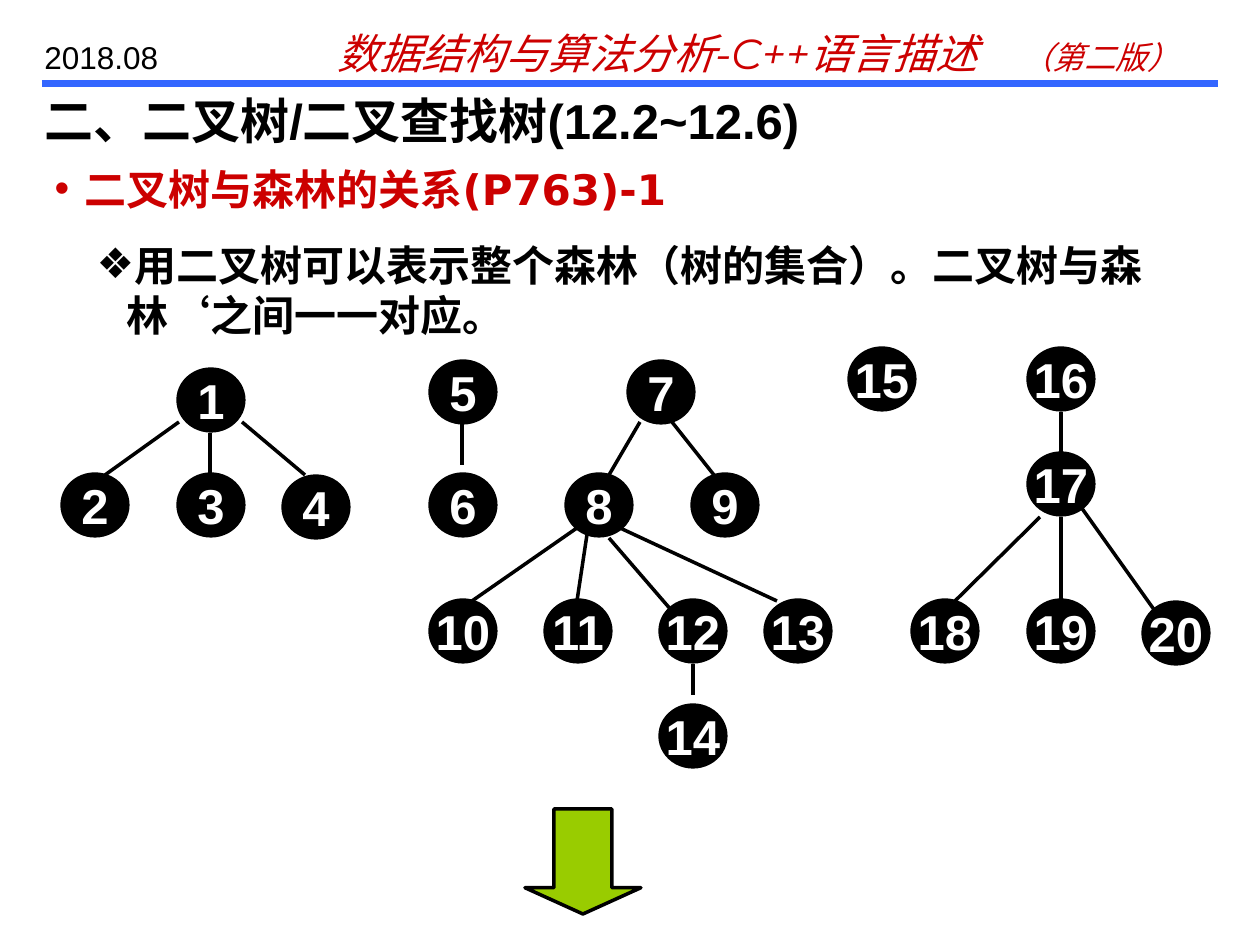
import pptx
import pptx.dml.color
import pptx.enum.shapes
import pptx.enum.text
import pptx.oxml.ns
import pptx.util
from lxml import etree

PX = 914400 / 126
WIDTH, HEIGHT = 1260, 945
NODE_WIDTH, NODE_HEIGHT = 64, 60
SHAPES = pptx.enum.shapes.MSO_SHAPE
ALIGN = pptx.enum.text.PP_ALIGN
ANCHOR = pptx.enum.text.MSO_ANCHOR

HEADING = {"size": 28, "name": "Arial", "color": "000000", "bold": True}
BULLET = {"size": 24, "name": "DejaVu Sans", "bold": True}
COURSE = {"size": 24, "name": "Montserrat", "color": "CC0000", "italic": True}
DATE = {"size": 18, "name": "Arial", "color": "000000"}

# Each tree: box origin, node corners and edges relative to that origin
FOREST = [
    ((63, 370),
     {"1": (116, 0), "2": (0, 105), "3": (116, 105), "4": (221, 107)},
     [(116, 52, 42, 105), (147, 63, 147, 105), (179, 52, 242, 105)]),
    ((431, 362),
     {"5": (0, 0), "6": (0, 113)},
     [(31, 60, 31, 103)]),
    ((431, 362),
     {"7": (198, 0), "8": (136, 113), "9": (262, 113), "10": (0, 239),
      "11": (115, 239), "12": (230, 239), "13": (335, 239), "14": (230, 344)},
     [(209, 60, 178, 113), (241, 60, 283, 113), (146, 166, 41, 239),
      (157, 166, 146, 239), (178, 176, 241, 249), (189, 166, 346, 239),
      (262, 302, 262, 333)]),
    ((850, 349), {"15": (0, 0)}, []),
    ((913, 349),
     {"16": (116, 0), "17": (116, 105), "18": (0, 252),
      "19": (116, 252), "20": (231, 254)},
     [(148, 63, 148, 105), (127, 168, 42, 252), (148, 168, 148, 252),
      (168, 158, 242, 262)]),
]


def emu(*lengths):
    return [pptx.util.Emu(round(length * PX)) for length in lengths]


def rgb(value):
    return pptx.dml.color.RGBColor.from_string(value)


def format_font(font, style):
    for key, value in style.items():
        if key == "color":
            font.color.rgb = rgb(value)
        else:
            setattr(font, key, pptx.util.Pt(value) if key == "size" else value)


def place(shape, box):
    for key, value in zip(("left", "top", "width", "height"), emu(*box)):
        setattr(shape, key, value)


def prepare_frame(shape, **settings):
    frame = shape.text_frame
    defaults = {
        "auto_size": pptx.enum.text.MSO_AUTO_SIZE.NONE,
        "word_wrap": True,
        "vertical_anchor": ANCHOR.TOP,
    }
    for key, value in {**defaults, **settings}.items():
        setattr(frame, key, value)
    return frame.paragraphs[0]


def add_run(paragraph, text, style):
    run = paragraph.add_run()
    run.text = text
    format_font(run.font, style)


def add_child(parent, tag, **attributes):
    child = etree.SubElement(parent, pptx.oxml.ns.qn(tag))
    for key, value in attributes.items():
        child.set(key, str(value))
    return child


def add_line(slide, ends, color, weight):
    line = slide.shapes.add_connector(
        pptx.enum.shapes.MSO_CONNECTOR.STRAIGHT, *emu(*ends))
    line.line.color.rgb = rgb(color)
    line.line.width = pptx.util.Pt(weight)
    add_child(line._element.spPr, "a:effectLst")


def add_filled(slide, kind, box, fill, weight):
    shape = slide.shapes.add_shape(kind, *emu(*box))
    shape.shadow.inherit = False
    shape.fill.solid()
    shape.fill.fore_color.rgb = rgb(fill)
    shape.line.color.rgb = rgb("000000")
    shape.line.width = pptx.util.Pt(weight)
    return shape


def add_header(slide, box):
    left, top, width, height = box
    # Course title, with the edition at a tab stop
    course = slide.shapes.add_textbox(*emu(left + 283, top, 882, 63))
    paragraph = prepare_frame(course)
    tabs = add_child(paragraph._p.get_or_add_pPr(), "a:tabLst")
    add_child(tabs, "a:tab", pos=emu(684)[0], algn="l")
    add_run(paragraph, "数据结构与算法分析-C++语言描述\t", COURSE)
    add_run(paragraph, "（第二版）", {**COURSE, "size": 18})
    # Date
    date = slide.shapes.add_textbox(*emu(left - 10, top + 11, 179, 50))
    add_run(prepare_frame(date), "2018.08", DATE)
    # Rule under the header
    bottom = top + height
    add_line(slide, (left, bottom, left + width, bottom), "3366FF", 4)


def fill_title(shape, box, text):
    place(shape, box)
    paragraph = prepare_frame(shape)
    paragraph.alignment = ALIGN.LEFT
    add_run(paragraph, text, HEADING)


def fill_bullet(shape, box, text, mark, color):
    place(shape, box)
    paragraph = prepare_frame(shape)
    properties = paragraph._p.get_or_add_pPr()
    indent = emu(30)[0]
    properties.set("marL", str(indent))
    properties.set("indent", str(-indent))
    bullet_color = add_child(properties, "a:buClr")
    add_child(bullet_color, "a:srgbClr", val=color)
    add_child(properties, "a:buFont", typeface="Arial")
    add_child(properties, "a:buChar", char=mark)
    paragraph.space_before = pptx.util.Pt(0)
    add_run(paragraph, text, {**BULLET, "color": color})


def add_tree(slide, origin, nodes, edges):
    left, top = origin
    for label, (x, y) in nodes.items():
        node = add_filled(slide, SHAPES.OVAL,
                          (left + x, top + y, NODE_WIDTH, NODE_HEIGHT), "000000", 3)
        paragraph = prepare_frame(node, word_wrap=False, vertical_anchor=ANCHOR.MIDDLE)
        paragraph.alignment = ALIGN.CENTER
        add_run(paragraph, label, {**HEADING, "color": "FFFFFF"})
    for x1, y1, x2, y2 in edges:
        add_line(slide, (left + x1, top + y1, left + x2, top + y2), "000000", 2)


def add_down_arrow(slide, box):
    arrow = add_filled(slide, SHAPES.DOWN_ARROW, box, "99CC00", 2)
    arrow.adjustments[0] = 0.5
    arrow.adjustments[1] = 0.25


def main():
    presentation = pptx.Presentation()
    presentation.slide_width, presentation.slide_height = emu(WIDTH, HEIGHT)
    slide = presentation.slides.add_slide(presentation.slide_layouts[3])
    title, topic, detail = slide.placeholders

    add_header(slide, (42, 21, 1176, 63))
    fill_title(title, (32, 84, 1228, 63), "二、二叉树/二叉查找树(12.2~12.6)")
    fill_bullet(topic, (42, 157, 1218, 63),
                "二叉树与森林的关系(P763)-1", "•", "CC0000")
    fill_bullet(detail, (84, 233, 1144, 113),
                "用二叉树可以表示整个森林（树的集合）。二叉树与森林‘之间一一对应。",
                "❖", "000000")
    for origin, nodes, edges in FOREST:
        add_tree(slide, origin, nodes, edges)
    add_down_arrow(slide, (525, 809, 116, 105))

    presentation.save("out.pptx")


if __name__ == "__main__":
    main()
